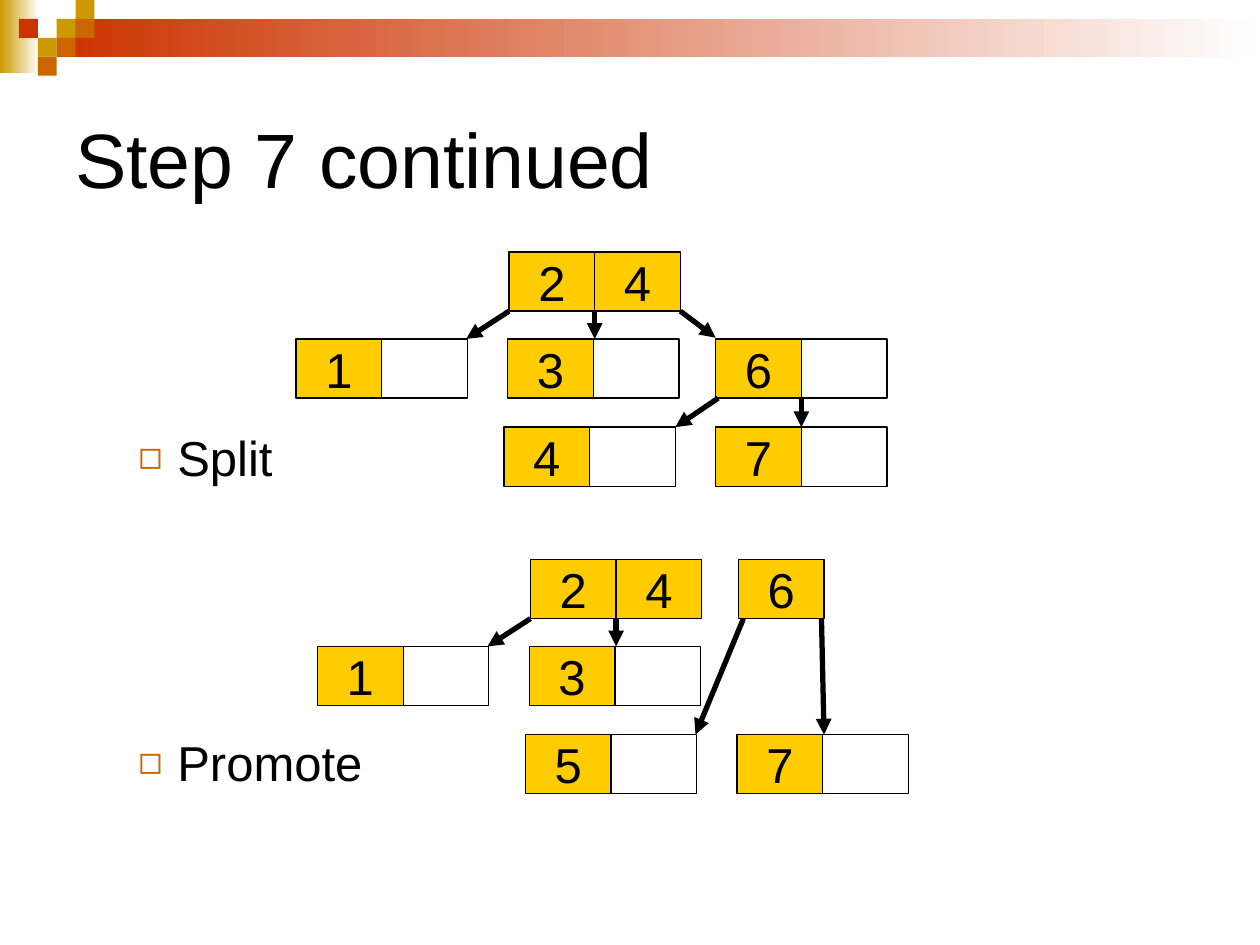
"""Build a slide showing a B-tree node being split and its middle key promoted."""
from typing import NamedTuple

from lxml.etree import SubElement
from pptx import Presentation
from pptx.dml.color import RGBColor
from pptx.enum.shapes import MSO_CONNECTOR, MSO_SHAPE
from pptx.enum.text import MSO_ANCHOR, PP_ALIGN
from pptx.oxml.ns import qn
from pptx.util import Inches, Pt

COLORS = {
    "black": "000000",
    "white": "FFFFFF",
    "key": "FFCC00",
    "gold": "CC9900",
    "orange": "CC6600",
    "red": "CC3300",
}
FONT = "Arial"
CELL_WIDTH, CELL_HEIGHT = 0.68, 0.47
ROWS = (0, 0.69, 1.39)
TILE = 0.15


class Node(NamedTuple):
    left: float
    row: int
    keys: tuple[str, ...]


class Arrow(NamedTuple):
    start: tuple[float, float]
    end: tuple[float, float]


class Tree(NamedTuple):
    left: float
    top: float
    nodes: tuple[Node, ...]
    arrows: tuple[Arrow, ...]


class Tile(NamedTuple):
    column: int
    row: int
    color: str


TILES = (
    Tile(3, 1, "gold"), Tile(4, 0, "gold"), Tile(4, 1, "orange"), Tile(2, 2, "gold"),
    Tile(1, 1, "red"), Tile(3, 2, "orange"), Tile(2, 3, "orange"),
)

SHARED_NODES = (
    Node(1.69, 0, ("2", "4")),
    Node(0, 1, ("1", "")),
    Node(1.68, 1, ("3", "")),
    Node(3.33, 2, ("7", "")),
)
SHARED_ARROWS = (
    Arrow((1.69, 0.47), (1.35, 0.69)),
    Arrow((2.37, 0.47), (2.37, 0.69)),
)
TREES = (
    Tree(2.35, 2,
         SHARED_NODES + (Node(3.33, 1, ("6", "")), Node(1.65, 2, ("4", ""))),
         SHARED_ARROWS + (
             Arrow((3.05, 0.47), (3.33, 0.68)),
             Arrow((3.35, 1.16), (3.01, 1.39)),
             Arrow((4.01, 1.16), (4.01, 1.39)))),
    Tree(2.52, 4.44,
         SHARED_NODES + (Node(3.34, 0, ("6",)), Node(1.65, 2, ("5", ""))),
         SHARED_ARROWS + (
             Arrow((3.38, 0.47), (3.0, 1.39)),
             Arrow((4.0, 0.47), (4.02, 1.39)))),
)


def rgb(name: str) -> RGBColor:
    return RGBColor.from_string(COLORS[name])


def write_text(para, text: str, *, size: float, align=PP_ALIGN.LEFT, before: float = 0) -> None:
    para.alignment = align
    para.space_before = Pt(before)
    span = para.add_run()
    span.text = text
    span.font.name = FONT
    span.font.size = Pt(size)
    span.font.color.rgb = rgb("black")


def add_rectangle(page, left: float, top: float, width: float, height: float,
                  color: str, fade: bool = False):
    box = page.shapes.add_shape(MSO_SHAPE.RECTANGLE, Inches(left), Inches(top),
                                Inches(width), Inches(height))
    box.shadow.inherit = False
    box.line.fill.background()
    if fade:
        box.fill.gradient()
        box.fill.gradient_angle = 0
        for stop, name in zip(box.fill.gradient_stops, (color, "white")):
            stop.color.rgb = rgb(name)
    else:
        box.fill.solid()
        box.fill.fore_color.rgb = rgb(color)
    return box


def add_banner(page) -> None:
    add_rectangle(page, 0, 0, 0.31, 0.58, "gold", fade=True)
    add_rectangle(page, 0.45, 0.15, 9.55, 0.3, "red", fade=True)
    for tile in TILES:
        add_rectangle(page, tile.column * TILE, tile.row * TILE, TILE, TILE, tile.color)


def add_node(page, tree: Tree, node: Node) -> None:
    for index, key in enumerate(node.keys):
        box = add_rectangle(page, tree.left + node.left + index * CELL_WIDTH,
                            tree.top + ROWS[node.row], CELL_WIDTH, CELL_HEIGHT,
                            "key" if key else "white")
        box.line.color.rgb = rgb("black")
        box.line.width = Pt(0.75)
        if key:
            frame = box.text_frame
            frame.word_wrap = False
            frame.vertical_anchor = MSO_ANCHOR.MIDDLE
            write_text(frame.paragraphs[0], key, size=28, align=PP_ALIGN.CENTER)


def add_arrow(page, tree: Tree, arrow: Arrow) -> None:
    ends = [Inches(origin + offset) for point in arrow
            for origin, offset in zip((tree.left, tree.top), point)]
    line = page.shapes.add_connector(MSO_CONNECTOR.STRAIGHT, *ends)
    line.line.color.rgb = rgb("black")
    line.line.width = Pt(3)
    SubElement(line.line._get_or_add_ln(), qn("a:tailEnd"), type="triangle")
    SubElement(line._element.spPr, qn("a:effectLst"))


def add_text_frame(page, left: float, top: float, width: float, height: float):
    box = page.shapes.add_textbox(Inches(left), Inches(top), Inches(width), Inches(height))
    box.text_frame.word_wrap = True
    return box.text_frame


def add_bullet(para) -> None:
    properties = para._p.get_or_add_pPr()
    properties.set("marL", str(Inches(0.81)))
    properties.set("indent", str(Inches(-0.31)))
    color = SubElement(properties, qn("a:buClr"))
    SubElement(color, qn("a:srgbClr"), val=COLORS["orange"])
    SubElement(properties, qn("a:buSzPct"), val="80000")
    SubElement(properties, qn("a:buFont"), typeface=FONT)
    SubElement(properties, qn("a:buChar"), char="◻")


def main() -> None:
    deck = Presentation()
    deck.slide_width, deck.slide_height = Inches(10), Inches(7.5)
    page = deck.slides.add_slide(deck.slide_layouts[6])
    add_banner(page)

    title = add_text_frame(page, 0.5, 0.5, 9, 1.5)
    title.vertical_anchor = MSO_ANCHOR.MIDDLE
    write_text(title.paragraphs[0], "Step 7 continued", size=44)

    for tree in TREES:
        for node in tree.nodes:
            add_node(page, tree, node)
        for arrow in tree.arrows:
            add_arrow(page, tree, arrow)

    steps = add_text_frame(page, 0.5, 3.34, 9, 3.08)
    for para, text, before in ((steps.paragraphs[0], "Split", 0),
                               (steps.add_paragraph(), "Promote", 141)):
        add_bullet(para)
        write_text(para, text, size=28, before=before)

    deck.save("out.pptx")


if __name__ == "__main__":
    main()
